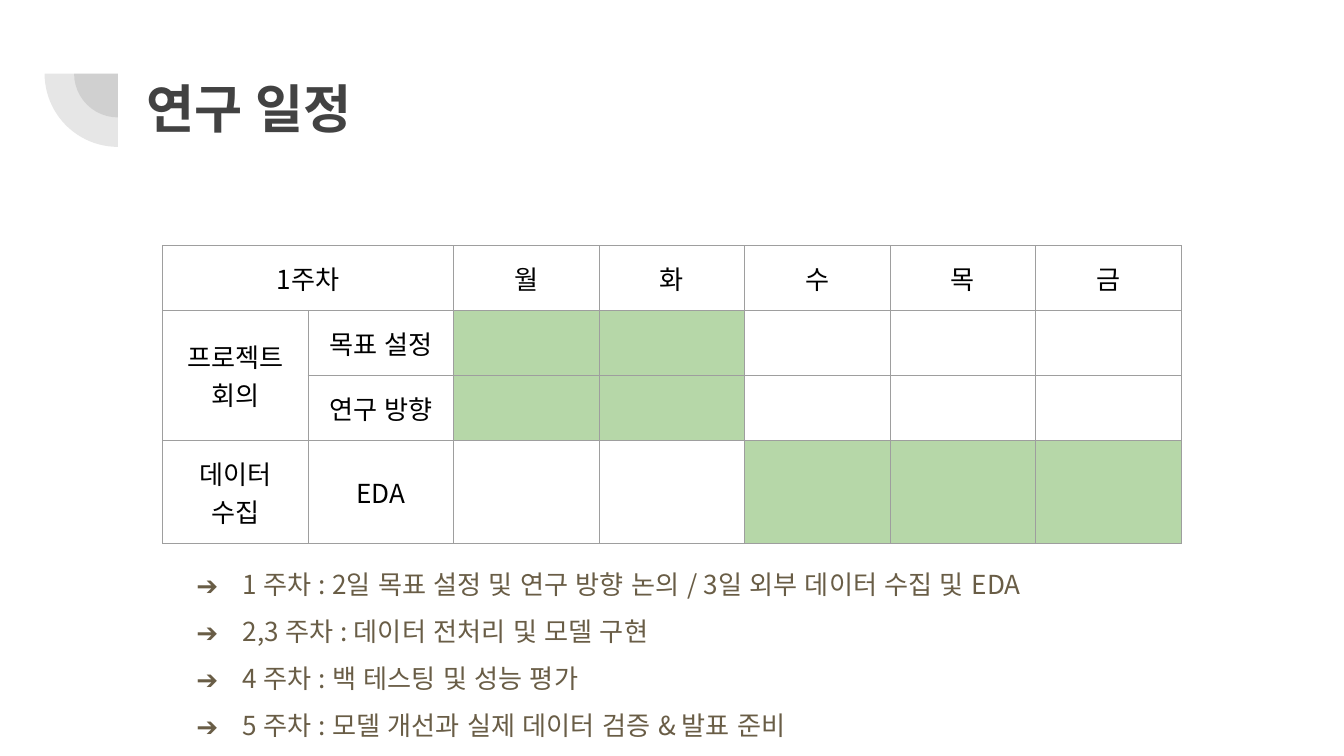
from lxml import etree
from pptx import Presentation
from pptx.dml.color import RGBColor
from pptx.enum.shapes import MSO_SHAPE
from pptx.enum.text import MSO_ANCHOR, PP_ALIGN
from pptx.oxml.ns import qn
from pptx.util import Pt

PIE = MSO_SHAPE.PIE
TOP, MIDDLE = MSO_ANCHOR.TOP, MSO_ANCHOR.MIDDLE
LEFT, CENTER = PP_ALIGN.LEFT, PP_ALIGN.CENTER
GRAY = RGBColor(0x42, 0x42, 0x42)
BROWN = RGBColor(0x69, 0x5D, 0x46)
BLACK = RGBColor(0, 0, 0)
GREEN = RGBColor(0xB6, 0xD7, 0xA8)
RULE = RGBColor(0x9E, 0x9E, 0x9E)
SANS, HEAD = "Noto Sans CJK KR", "Roboto"

TITLE = "연구 일정"
ROWS = [
    ["1주차", "", "월", "화", "수", "목", "금"],
    ["프로젝트 회의", "목표 설정", "", "", "", "", ""],
    ["", "연구 방향", "", "", "", "", ""],
    ["데이터 수집", "EDA", "", "", "", "", ""],
]
BUSY = {1: (2, 3), 2: (2, 3), 3: (4, 5, 6)}
MERGES = [((0, 0), (0, 1)), ((1, 0), (2, 0))]
HEIGHTS = [34.8, 34.8, 34.8, 55.2]
COL = 77.97
PLANS = [
    "1 주차 : 2일 목표 설정 및 연구 방향 논의 / 3일 외부 데이터 수집 및 EDA",
    "2,3 주차 : 데이터 전처리 및 모델 구현",
    "4 주차 : 백 테스팅 및 성능 평가",
    "5 주차 : 모델 개선과 실제 데이터 검증 & 발표 준비",
]
HUB = (63.2, 39.4)
RADII = [23.5, 39.3]
PAD = Pt(7.2)


def style(para, size, color, name, bold=False):
    font = para.font
    font.size, font.name, font.bold = Pt(size), name, bold
    font.color.rgb = color
    props = para._p.get_or_add_pPr().find(qn("a:defRPr"))
    for item in [props] + [run._r.get_or_add_rPr() for run in para.runs]:
        item.set("lang", "ko")
        etree.SubElement(item, qn("a:ea"), typeface=name)


def inset(box):
    box.margin_left = box.margin_right = PAD
    box.margin_top = box.margin_bottom = PAD


def border(cell):
    props = cell._tc.get_or_add_tcPr()
    for spot, side in enumerate(("lnL", "lnR", "lnT", "lnB")):
        line = etree.Element(qn(f"a:{side}"), w=str(Pt(0.75)))
        fill = etree.SubElement(line, qn("a:solidFill"))
        etree.SubElement(fill, qn("a:srgbClr"), val=str(RULE))
        props.insert(spot, line)


def bullet(para):
    props = para._p.get_or_add_pPr()
    props.set("marL", str(Pt(36)))
    props.set("indent", str(-Pt(25)))
    color = etree.SubElement(props, qn("a:buClr"))
    etree.SubElement(color, qn("a:srgbClr"), val=str(BROWN))
    etree.SubElement(props, qn("a:buFont"), typeface=SANS)
    etree.SubElement(props, qn("a:buChar"), char="➔")


def add_pies(slide):
    for rad in RADII:
        pie = slide.shapes.add_shape(
            PIE, Pt(HUB[0] - rad), Pt(HUB[1] - rad), Pt(2 * rad), Pt(2 * rad))
        pie.adjustments[0], pie.adjustments[1] = 108, 162
        pie.rotation = 270
        pie.shadow.inherit = False
        pie.fill.solid()
        pie.fill.fore_color.rgb = GRAY
        tint = pie._element.spPr.find(qn("a:solidFill"))[0]
        etree.SubElement(tint, qn("a:alpha"), val="13000")
        pie.line.fill.background()


def add_title(slide):
    title = slide.shapes.title
    title.left, title.top = Pt(71.3), Pt(33.8)
    title.width, title.height = Pt(553.7), Pt(78.5)
    frame = title.text_frame
    frame.text = TITLE
    frame.vertical_anchor = TOP
    inset(frame)
    para = frame.paragraphs[0]
    para.alignment = LEFT
    style(para, 28, GRAY, HEAD, True)


def add_grid(slide):
    count = len(ROWS[0])
    grid = slide.shapes.add_table(
        len(ROWS), count, Pt(87.1), Pt(131.6),
        Pt(COL * count), Pt(sum(HEIGHTS))).table
    grid.first_row = grid.horz_banding = False
    for col in grid.columns:
        col.width = Pt(COL)
    for i, row in enumerate(ROWS):
        grid.rows[i].height = Pt(HEIGHTS[i])
        for j, text in enumerate(row):
            cell = grid.cell(i, j)
            cell.text = text
            cell.vertical_anchor = MIDDLE
            inset(cell)
            para = cell.text_frame.paragraphs[0]
            para.alignment = CENTER
            style(para, 14, BLACK, SANS)
            if j in BUSY.get(i, ()):
                cell.fill.solid()
                cell.fill.fore_color.rgb = GREEN
            else:
                cell.fill.background()
            border(cell)
    for start, end in MERGES:
        grid.cell(*start).merge(grid.cell(*end))


def add_plans(slide):
    box = slide.shapes.add_textbox(Pt(87.1), Pt(289), Pt(568.8), Pt(107.3))
    frame = box.text_frame
    frame.word_wrap = True
    inset(frame)
    for i, text in enumerate(PLANS):
        para = frame.add_paragraph() if i else frame.paragraphs[0]
        para.text = text
        para.line_spacing = 1.5
        bullet(para)
        style(para, 14, BROWN, SANS)


def main():
    deck = Presentation()
    deck.slide_width, deck.slide_height = Pt(720), Pt(405)
    slide = deck.slides.add_slide(deck.slide_layouts[5])
    add_pies(slide)
    add_title(slide)
    add_plans(slide)
    add_grid(slide)
    deck.save("out.pptx")


if __name__ == "__main__":
    main()
